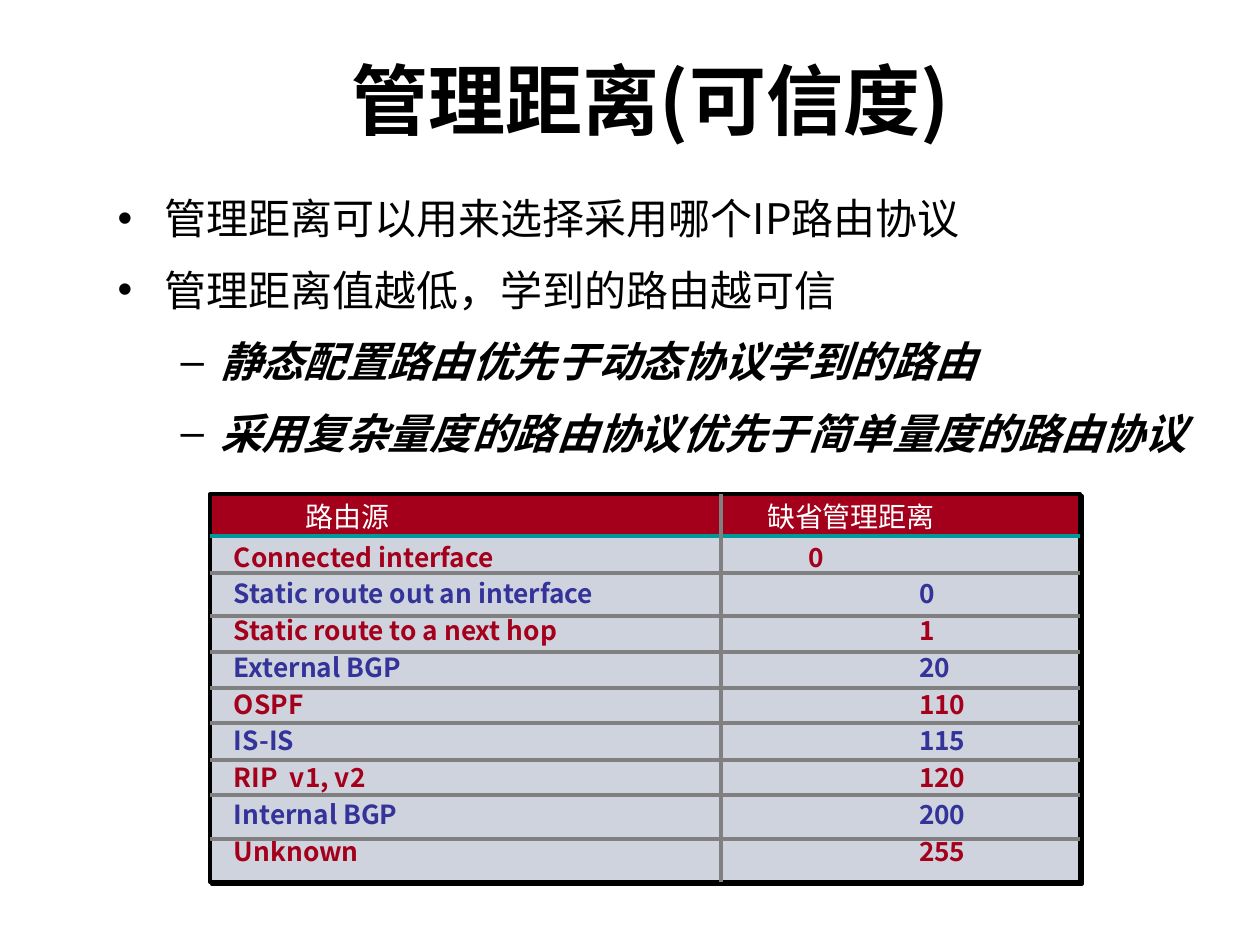
from dataclasses import dataclass

from lxml.etree import SubElement
from pptx import Presentation
from pptx.dml.color import RGBColor
from pptx.enum.shapes import MSO_CONNECTOR, MSO_SHAPE
from pptx.enum.text import MSO_ANCHOR, MSO_AUTO_SIZE, PP_ALIGN
from pptx.oxml.ns import qn
from pptx.util import Emu, Pt


def px(length: int) -> Emu:
    return Emu(round(length * 914400 / 126))


@dataclass(frozen=True)
class Theme:
    font: str = "Noto Sans CJK SC"
    ink: str = "000000"
    white: str = "FFFFFF"
    red: str = "A4001B"
    blue: str = "333399"
    panel: str = "CED3DE"
    grid: str = "808080"
    teal: str = "009999"
    title_size: int = 44
    body_size: int = 24
    header_size: int = 16
    row_size: int = 15
    rule_width: float = 2.25


@dataclass(frozen=True)
class Box:
    left: int
    top: int
    width: int
    height: int

    @property
    def right(self) -> int:
        return self.left + self.width

    @property
    def bottom(self) -> int:
        return self.top + self.height

    def emu(self) -> tuple:
        return px(self.left), px(self.top), px(self.width), px(self.height)


@dataclass(frozen=True)
class Point:
    text: str
    level: int = 0


@dataclass(frozen=True)
class Route:
    source: str
    distance: str
    tabs: int = 2


THEME = Theme()
TITLE_BOX = Box(134, 45, 1033, 107)
BODY_BOX = Box(105, 174, 1134, 624)
HEADER_BAND = Box(210, 494, 870, 58)
ROWS_PANEL = Box(210, 536, 870, 346)
ROWS_TEXT = Box(218, 533, 766, 350)
COLUMN_X = 721
ROW_RULES = (573, 616, 652, 688, 723, 760, 795, 839)
DISTANCE_TABS = (575, 685)

POINTS = (
    Point("管理距离可以用来选择采用哪个IP路由协议"),
    Point("管理距离值越低，学到的路由越可信"),
    Point("静态配置路由优先于动态协议学到的路由", 1),
    Point("采用复杂量度的路由协议优先于简单量度的路由协议", 1),
)
HEADERS = (
    ("路由源", Box(289, 495, 117, 47)),
    ("缺省管理距离", Box(751, 495, 200, 47)),
)
ROUTES = (
    Route("Connected interface", "0", 1),
    Route("Static route out an interface", "0"),
    Route("Static route to a next hop", "1"),
    Route("External BGP", "20"),
    Route("OSPF", "110"),
    Route("IS-IS", "115"),
    Route("RIP  v1, v2", "120"),
    Route("Internal BGP", "200"),
    Route("Unknown", "255"),
)


def add_shadow(properties, distance: float, color: str):
    """Append a diagonal, unblurred shadow and return its effect list."""
    effects = properties.find(qn("a:effectLst"))
    if effects is None:
        effects = SubElement(properties, qn("a:effectLst"))
    shadow = SubElement(effects, qn("a:outerShdw"), blurRad="0",
                        dist=str(Pt(distance)), dir="2700000",
                        algn="ctr", rotWithShape="0")
    SubElement(shadow, qn("a:srgbClr"), val=color)
    return effects


def style_runs(paragraph, size: int, color: str, bold: bool = False,
               italic: bool = False, shadow: str = "") -> None:
    for run in paragraph.runs:
        font = run.font
        font.size, font.bold, font.italic = Pt(size), bold, italic
        font.color.rgb = RGBColor.from_string(color)
        font.name = THEME.font
        properties = run._r.get_or_add_rPr()
        latin = properties.find(qn("a:latin"))
        if shadow:
            latin.addprevious(add_shadow(properties, 1.4, shadow))
        SubElement(properties, qn("a:ea"), typeface=THEME.font)


def set_space_before(paragraph, percent: int) -> None:
    """Set spacing relative to the type size."""
    paragraph.space_before = Pt(0)
    spacing = paragraph._p.pPr.find(qn("a:spcBef"))
    spacing.remove(spacing[0])
    SubElement(spacing, qn("a:spcPct"), val=str(percent * 1000))


def place(placeholder, box: Box):
    placeholder.left, placeholder.top, placeholder.width, placeholder.height = box.emu()
    placeholder.text_frame.auto_size = MSO_AUTO_SIZE.NONE
    return placeholder.text_frame


def add_panel(slide, box: Box, color: str) -> None:
    panel = slide.shapes.add_shape(MSO_SHAPE.RECTANGLE, *box.emu())
    panel.shadow.inherit = False
    panel.fill.solid()
    panel.fill.fore_color.rgb = RGBColor.from_string(color)
    panel.line.color.rgb = RGBColor.from_string(THEME.ink)
    panel.line.width = Pt(THEME.rule_width)
    add_shadow(panel._element.spPr, 1.4, THEME.ink)


def add_rule(slide, start: tuple[int, int], end: tuple[int, int], color: str) -> None:
    rule = slide.shapes.add_connector(
        MSO_CONNECTOR.STRAIGHT, *map(px, start), *map(px, end))
    rule.line.color.rgb = RGBColor.from_string(color)
    rule.line.width = Pt(THEME.rule_width)
    SubElement(rule._element.spPr, qn("a:effectLst"))


def add_text_frame(slide, box: Box, wrap: bool):
    frame = slide.shapes.add_textbox(*box.emu()).text_frame
    frame.word_wrap = wrap
    frame.margin_left = frame.margin_right = px(16)
    frame.margin_top = frame.margin_bottom = px(8)
    return frame


def add_header(slide, label: str, box: Box) -> None:
    paragraph = add_text_frame(slide, box, wrap=False).paragraphs[0]
    paragraph.text = label
    paragraph.alignment = PP_ALIGN.CENTER
    paragraph.line_spacing = 0.9
    set_space_before(paragraph, 50)
    style_runs(paragraph, THEME.header_size, THEME.white, shadow=THEME.grid)


def add_routes(slide) -> None:
    frame = add_text_frame(slide, ROWS_TEXT, wrap=True)
    frame.text = "\n".join(
        route.source + "\t" * route.tabs + route.distance for route in ROUTES)
    for index, paragraph in enumerate(frame.paragraphs):
        set_space_before(paragraph, 20)
        stops = SubElement(paragraph._p.pPr, qn("a:tabLst"))
        for stop in DISTANCE_TABS:
            SubElement(stops, qn("a:tab"), pos=str(px(stop)), algn="l")
        color = THEME.blue if index % 2 else THEME.red
        style_runs(paragraph, THEME.row_size, color, bold=True, shadow=THEME.grid)


def main() -> None:
    deck = Presentation()
    deck.slide_width, deck.slide_height = px(1260), px(945)
    slide = deck.slides.add_slide(deck.slide_layouts[1])

    title = place(slide.shapes.title, TITLE_BOX)
    title.text = "管理距离(可信度)"
    title.vertical_anchor = MSO_ANCHOR.MIDDLE
    style_runs(title.paragraphs[0], THEME.title_size, THEME.ink, bold=True)

    body = place(slide.placeholders[1], BODY_BOX)
    body.text = "\n".join(point.text for point in POINTS)
    for paragraph, point in zip(body.paragraphs, POINTS):
        paragraph.level = point.level
        paragraph.line_spacing = 1.25
        emphasis = point.level > 0
        style_runs(paragraph, THEME.body_size, THEME.ink, emphasis, emphasis)

    add_panel(slide, HEADER_BAND, THEME.red)
    add_panel(slide, ROWS_PANEL, THEME.panel)
    add_routes(slide)
    left, right, top = ROWS_PANEL.left, ROWS_PANEL.right, ROWS_PANEL.top
    add_rule(slide, (left, top), (right, top), THEME.teal)
    for label, box in HEADERS:
        add_header(slide, label, box)
    add_rule(slide, (COLUMN_X, HEADER_BAND.top), (COLUMN_X, ROWS_PANEL.bottom), THEME.grid)
    for y in ROW_RULES:
        add_rule(slide, (right, y), (left, y), THEME.grid)

    deck.save("out.pptx")


if __name__ == "__main__":
    main()
